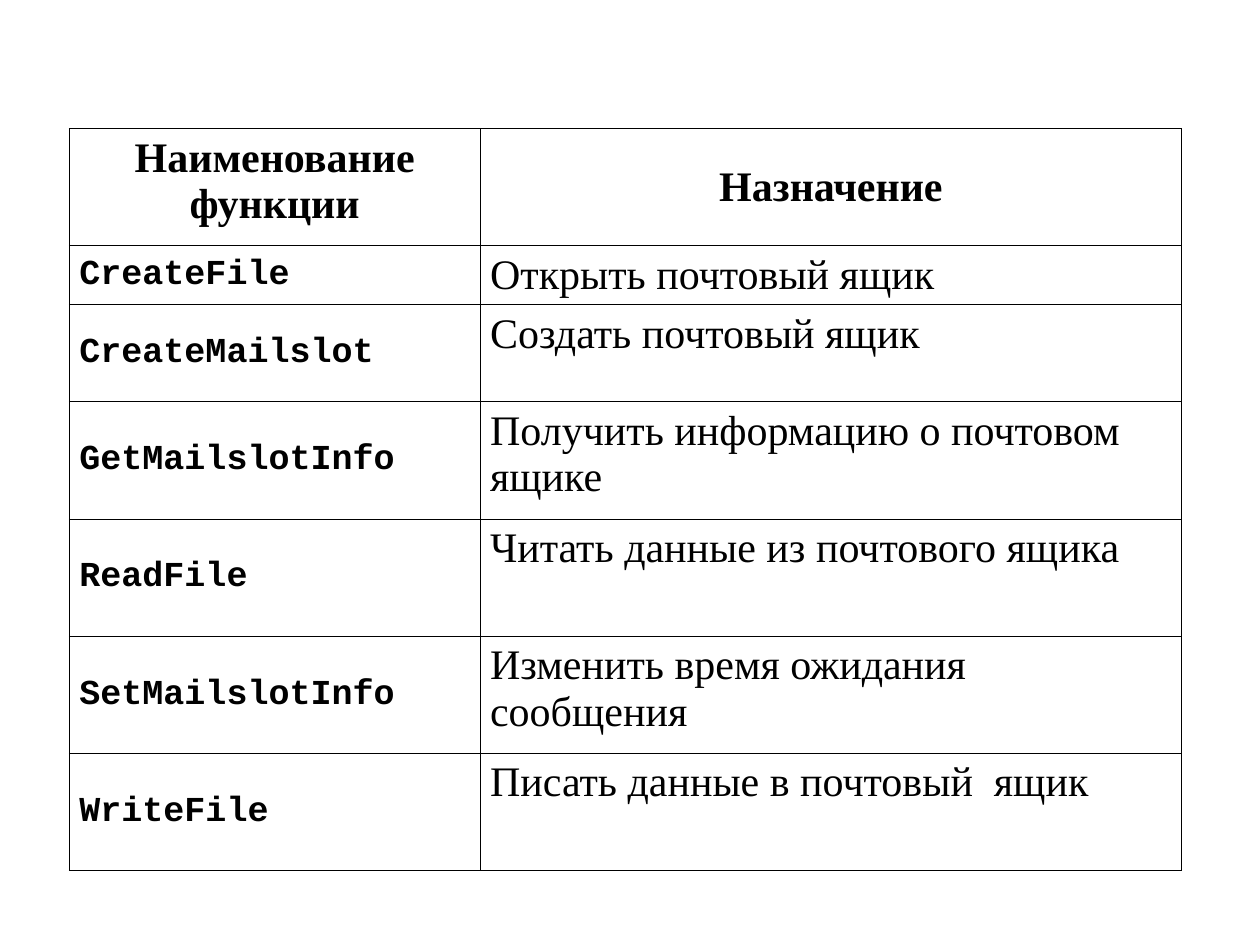
from lxml.etree import SubElement as Sub
from pptx import Presentation
from pptx.dml.color import RGBColor
from pptx.enum.text import MSO_ANCHOR as Anchor, PP_ALIGN as Align
from pptx.oxml.ns import qn
from pptx.util import Inches, Pt


def color(code):
    return RGBColor.from_string(code)


def border(cell, code, width):
    props = cell._tc.get_or_add_tcPr()
    for side in ("lnL", "lnR", "lnT", "lnB"):
        line = Sub(props, qn("a:" + side), w=str(Pt(width)))
        fill = Sub(line, qn("a:solidFill"))
        Sub(fill, qn("a:srgbClr"), val=code)


INK = "000000"
SERIF = "Times New Roman"
MONO = "Courier New"
rows = [
    ("Наименование\nфункции", "Назначение", 0.93),
    ("CreateFile", "Открыть почтовый ящик", 0.46),
    ("CreateMailslot", "Создать почтовый ящик", 0.77),
    ("GetMailslotInfo", "Получить информацию о почтовом ящике", 0.93),
    ("ReadFile", "Читать данные из почтового ящика", 0.93),
    ("SetMailslotInfo", "Изменить время ожидания сообщения", 0.93),
    ("WriteFile", "Писать данные в почтовый  ящик", 0.93),
]

deck = Presentation()
deck.slide_width, deck.slide_height = Inches(10), Inches(7.5)
slide = deck.slides.add_slide(deck.slide_layouts[6])
table = slide.shapes.add_table(
    len(rows), 2, Inches(0.55), Inches(1.02), Inches(8.83), Inches(5.88)
).table
table.first_row = table.horz_banding = False
table.columns[0].width = Inches(3.26)
table.columns[1].width = Inches(5.57)

for r, (name, role, height) in enumerate(rows):
    table.rows[r].height = Inches(height)
    for c, text in enumerate((name, role)):
        head = r == 0
        code = c == 0 and not head
        cell = table.cell(r, c)
        cell.margin_left = cell.margin_right = Inches(0.08)
        cell.margin_top = cell.margin_bottom = Inches(0.05)
        cell.vertical_anchor = Anchor.MIDDLE if head == (c == 1) else Anchor.TOP
        border(cell, INK, 0.45)
        cell.fill.background()
        cell.text = text
        for para in cell.text_frame.paragraphs:
            para.alignment = Align.CENTER if head else Align.LEFT
            para.font.name = MONO if code else SERIF
            para.font.size = Pt(20 if code else 24)
            para.font.bold = head or code
            para.font.color.rgb = color(INK)

deck.save("out.pptx")
